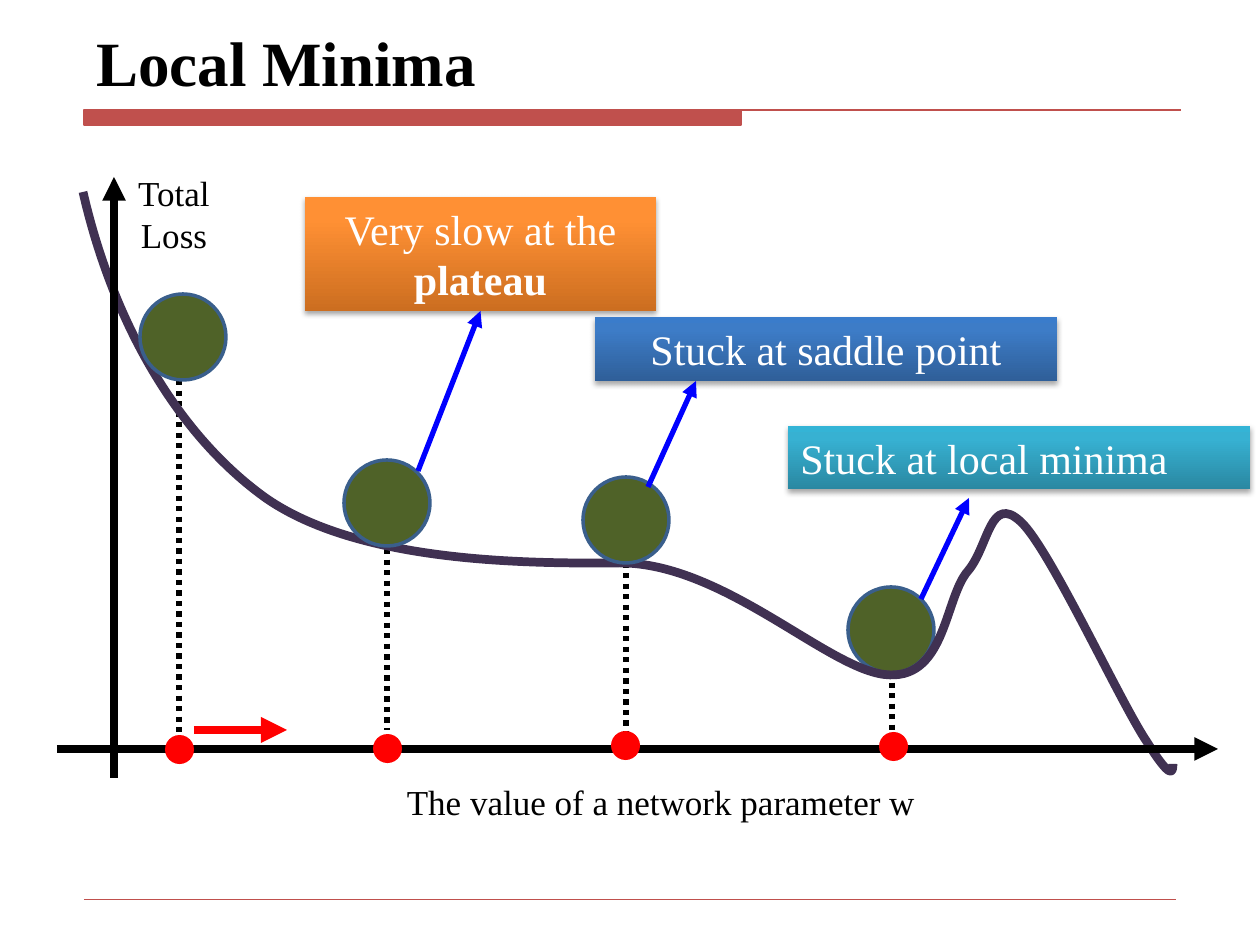
from lxml.etree import SubElement
from pptx import Presentation
from pptx.dml.color import RGBColor
from pptx.enum.dml import MSO_LINE
from pptx.enum.shapes import MSO_CONNECTOR, MSO_SHAPE
from pptx.enum.text import MSO_ANCHOR, MSO_AUTO_SIZE, PP_ALIGN
from pptx.oxml import parse_xml
from pptx.oxml.ns import nsdecls, qn
from pptx.util import Pt

PX = 914400 / 126
FONT = "Times New Roman"
COLORS = {
    "black": "000000", "white": "FFFFFF", "rule": "C0504D", "curve": "403152",
    "ball": "4F6228", "ball_edge": "3A5F8C", "red": "FF0000", "blue": "0000FF",
}
# Each gradient runs from the bottom of a callout to its top.
GRADIENTS = {
    "orange": ("CC6E20", "FF9034", "FF9136"),
    "navy": ("2F5F99", "3D7CC7", "3A7CCB"),
    "teal": ("2A88A2", "37B1D2", "34B4D6"),
}
BALL, DOT = 86, 29
CURVE_BOUNDS = (83, 192, 1091, 580)
CURVE_START = (83, 192)
CURVE_SEGMENTS = [
    ((113, 323), (178, 436), (267, 499)),
    ((358, 561), (515, 564), (620, 563)),
    ((726, 563), (832, 674), (890, 675)),
    ((946, 677), (945, 597), (968, 571)),
    ((989, 546), (990, 493), (1021, 522)),
    ((1050, 549), (1120, 702), (1147, 742)),
    ((1172, 782), (1173, 772), (1173, 764)),
]


def emu(*lengths):
    return [round(length * PX) for length in lengths]


def rgb(name):
    return RGBColor.from_string(COLORS[name])


def set_line(shape, color, width):
    shape.line.color.rgb = rgb(color)
    shape.line.width = Pt(width)


def set_fill(shape, color):
    shape.fill.solid()
    shape.fill.fore_color.rgb = rgb(color)


def add_solid(page, kind, bounds, fill, edge=None):
    shape = page.shapes.add_shape(kind, *emu(*bounds))
    shape.shadow.inherit = False
    set_fill(shape, fill)
    if edge:
        set_line(shape, edge, 2)
    else:
        shape.line.fill.background()
    return shape


def add_ball(page, left, top):
    add_solid(page, MSO_SHAPE.OVAL, (left, top, BALL, BALL), "ball", "ball_edge")


def add_line(page, start, end, color, width, arrow=False, dotted=False):
    line = page.shapes.add_connector(MSO_CONNECTOR.STRAIGHT, *emu(*start, *end))
    set_line(line, color, width)
    if dotted:
        line.line.dash_style = MSO_LINE.ROUND_DOT
    if arrow:
        SubElement(line.line._get_or_add_ln(), qn("a:tailEnd"), type="triangle")
    SubElement(line._element.spPr, qn("a:effectLst"))
    return line


def write_text(shape, paragraphs, size, color, align=PP_ALIGN.CENTER):
    """Fill a shape with paragraphs, each a list of (text, bold) runs."""
    frame = shape.text_frame
    frame.word_wrap = True
    frame.auto_size = MSO_AUTO_SIZE.SHAPE_TO_FIT_TEXT
    for index, runs in enumerate(paragraphs):
        para = frame.add_paragraph() if index else frame.paragraphs[0]
        para.alignment = align
        for text, bold in runs:
            span = para.add_run()
            span.text = text
            span.font.name = FONT
            span.font.size = Pt(size)
            span.font.bold = bold
            span.font.color.rgb = rgb(color)


def add_text(page, bounds, paragraphs, size, align=PP_ALIGN.CENTER):
    box = page.shapes.add_textbox(*emu(*bounds))
    write_text(box, paragraphs, size, "black", align)
    return box


def add_callout(page, bounds, gradient, runs, align=PP_ALIGN.CENTER):
    """Add a rectangle with a vertical gradient and a soft shadow."""
    box = add_solid(page, MSO_SHAPE.RECTANGLE, bounds, "white")
    stops = "".join(
        f'<a:gs pos="{pos}000"><a:srgbClr val="{color}"/></a:gs>'
        for pos, color in zip((0, 80, 100), GRADIENTS[gradient])
    )
    properties = box._element.spPr
    properties.replace(properties.find(qn("a:solidFill")), parse_xml(
        f'<a:gradFill {nsdecls("a")} rotWithShape="1"><a:gsLst>{stops}</a:gsLst>'
        '<a:lin ang="16200000" scaled="0"/></a:gradFill>'))
    properties.replace(properties.find(qn("a:effectLst")), parse_xml(
        f'<a:effectLst {nsdecls("a")}><a:outerShdw blurRad="{Pt(3.1)}" '
        f'dist="{Pt(1.8)}" dir="5400000" rotWithShape="0"><a:srgbClr val="000000">'
        '<a:alpha val="35000"/></a:srgbClr></a:outerShdw></a:effectLst>'))
    write_text(box, [runs], 24, "white", align)
    return box


def add_loss_curve(page):
    """Add the curve as cubic segments, measured from its own corner."""
    left, top, width, height = CURVE_BOUNDS
    builder = page.shapes.build_freeform(*emu(left, top))
    builder.add_line_segments([emu(left + width, top + height)], close=False)
    curve = builder.convert_to_shape()
    curve.shadow.inherit = False
    curve.fill.background()
    set_line(curve, "curve", 5)

    outline = next(curve._element.iter(qn("a:path")))
    for child in list(outline):
        outline.remove(child)
    outline.set("w", str(width))
    outline.set("h", str(height))
    steps = [("a:moveTo", [CURVE_START])]
    steps += [("a:cubicBezTo", segment) for segment in CURVE_SEGMENTS]
    for tag, points in steps:
        step = SubElement(outline, qn(tag))
        for x, y in points:
            SubElement(step, qn("a:pt"), x=str(x - left), y=str(y - top))


def add_title_rule(page):
    """Add a thick bar and the thin line that runs on from it, as one outline."""
    builder = page.shapes.build_freeform(*emu(84, 110))
    corners = ((741, 110), (741, 125), (84, 125))
    builder.add_line_segments([emu(*corner) for corner in corners], close=True)
    builder.move_to(*emu(84, 110))
    builder.add_line_segments([emu(1181, 110)], close=False)
    rule = builder.convert_to_shape()
    rule.shadow.inherit = False
    set_fill(rule, "rule")
    set_line(rule, "rule", 0.75)


def add_frame(page):
    add_title_rule(page)
    footer = add_line(page, (84, 899), (1176, 899), "rule", 0.25)
    footer._element.remove(footer._element.find(qn("p:style")))
    title = add_text(page, (84, 26, 1101, 79), [[("Local Minima", True)]], 36,
                     PP_ALIGN.LEFT)
    title.text_frame.auto_size = MSO_AUTO_SIZE.NONE
    title.text_frame.vertical_anchor = MSO_ANCHOR.BOTTOM


def add_axes(page):
    add_line(page, (57, 749), (1218, 749), "black", 4.5, arrow=True)
    add_line(page, (114, 778), (114, 177), "black", 4.5, arrow=True)
    add_text(page, (107, 165, 134, 97), [[("Total", False)], [("Loss", False)]], 20)
    add_text(page, (303, 774, 716, 55),
             [[("The value of a network parameter w", False)]], 20)


def main():
    deck = Presentation()
    deck.slide_width, deck.slide_height = emu(1260, 945)
    page = deck.slides.add_slide(deck.slide_layouts[6])

    add_frame(page)
    add_line(page, (892, 630), (892, 730), "black", 3, dotted=True)
    add_ball(page, 848, 587)
    for x, top, bottom in ((626, 489, 731), (387, 486, 730), (179, 338, 735)):
        add_line(page, (x, top), (x, bottom), "black", 3, dotted=True)
    add_line(page, (194, 730), (287, 730), "red", 5, arrow=True)
    add_loss_curve(page)
    add_ball(page, 583, 477)
    add_axes(page)

    plateau = add_callout(page, (305, 197, 351, 114), "orange",
                          [("Very slow at the ", False), ("plateau", True)])
    add_callout(page, (788, 426, 462, 63), "teal",
                [("Stuck at local minima", False)], PP_ALIGN.LEFT)
    add_ball(page, 140, 294)
    add_ball(page, 344, 460)
    add_callout(page, (595, 317, 462, 64), "navy", [("Stuck at saddle point", False)])

    add_line(page, (921, 599), (969, 498), "blue", 3, arrow=True)
    add_line(page, (648, 487), (696, 381), "blue", 3, arrow=True)
    pointer = add_line(page, (418, 471), (480, 311), "blue", 3, arrow=True)
    pointer.end_connect(plateau, 2)

    for left, top in ((165, 735), (373, 734), (611, 731), (879, 732)):
        add_solid(page, MSO_SHAPE.OVAL, (left, top, DOT, DOT), "red")

    deck.save("out.pptx")


if __name__ == "__main__":
    main()
